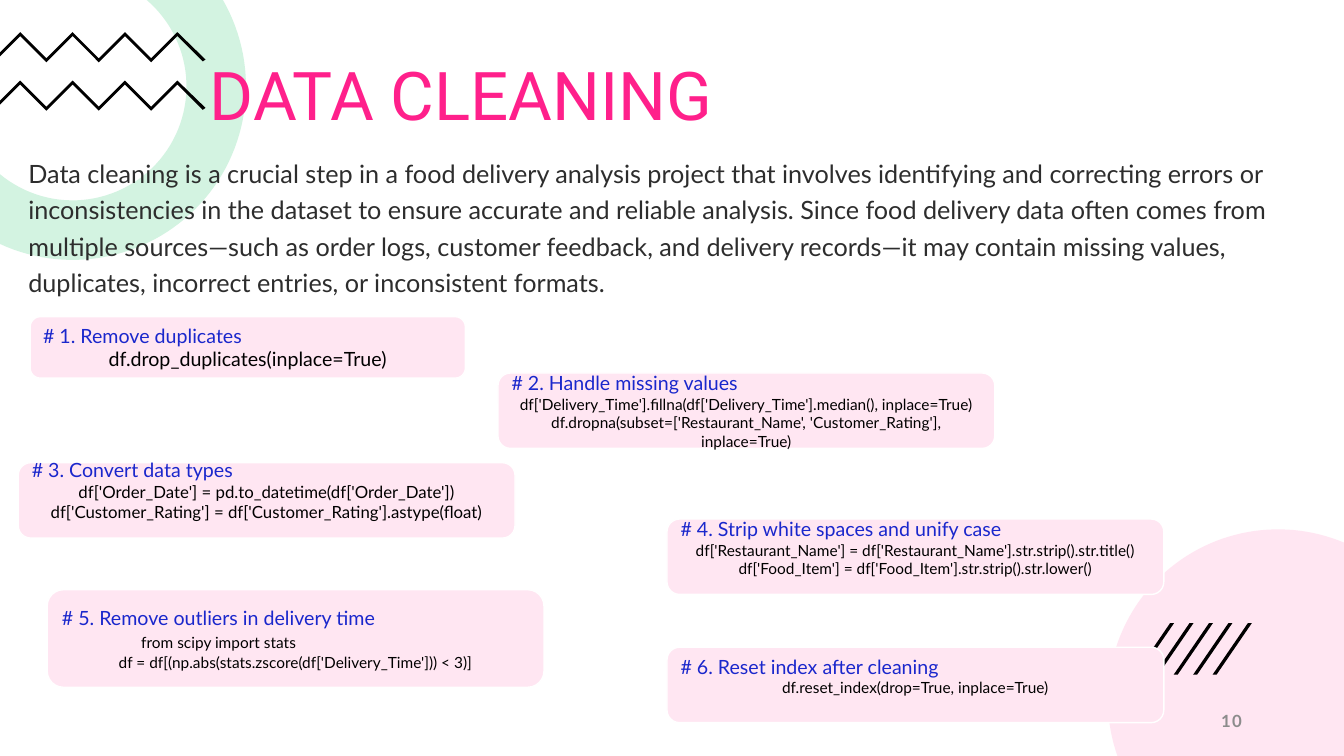
from dataclasses import dataclass
from math import acos, asin, cos, pi, sin

from lxml import etree
from pptx import Presentation
from pptx import util as u
from pptx.dml.color import RGBColor
from pptx.enum import shapes as s
from pptx.enum import text as t


@dataclass(frozen=True)
class Theme:
    pink: str = "FF208B"
    blush: str = "FFE6F2"
    mint: str = "D3F3E1"
    blue: str = "1A27CC"
    ink: str = "2D2D2D"
    grey: str = "8C8C8C"
    black: str = "000000"
    white: str = "FFFFFF"
    head: str = "Roboto"
    font: str = "Lato"
    title: int = 48
    body: int = 18
    label: int = 14
    page: int = 12
    code: int = 11


LOOK = Theme()
WIDE, HIGH = 33.87, 19.05

INTRO = (
    "Data cleaning is a crucial step in a food delivery analysis project that involves "
    "identifying and correcting errors or inconsistencies in the dataset to ensure accurate "
    "and reliable analysis. Since food delivery data often comes from multiple sources—such as "
    "order logs, customer feedback, and delivery records—it may contain missing values, "
    "duplicates, incorrect entries, or inconsistent formats."
)

CARDS = [
    ((0.76, 7.98, 10.97, 1.55), "# 1. Remove duplicates",
     ["df.drop_duplicates(inplace=True)"], {"size": 14}),
    ((16.81, 16.31, 12.52, 1.9), "# 6. Reset index after cleaning",
     ["df.reset_index(drop=True, inplace=True)"], {"spare": 11}),
    ((0.46, 11.66, 12.52, 1.9), "# 3. Convert data types",
     ["df['Order_Date'] = pd.to_datetime(df['Order_Date'])",
      "df['Customer_Rating'] = df['Customer_Rating'].astype(float)"],
     {"size": 12, "spare": 12}),
    ((16.81, 13.08, 12.52, 1.9), "# 4. Strip white spaces and unify case",
     ["df['Restaurant_Name'] = df['Restaurant_Name'].str.strip().str.title()",
      "df['Food_Item'] = df['Food_Item'].str.strip().str.lower()"], {"spare": 11}),
    ((12.55, 9.4, 12.52, 1.9), "# 2. Handle missing values",
     ["df['Delivery_Time'].fillna(df['Delivery_Time'].median(), inplace=True)",
      "df.dropna(subset=['Restaurant_Name', 'Customer_Rating'], inplace=True)"], {}),
    ((1.19, 14.86, 12.52, 2.46), "# 5. Remove outliers in delivery time",
     ["from scipy import stats",
      "df = df[(np.abs(stats.zscore(df['Delivery_Time'])) < 3)]"], {"indent": 2}),
]


def write(frame, words, size, color, font=LOOK.font, align="LEFT", bold=False,
          lead=1.0, before=0, after=0, indent=0, track=0):
    para = frame.paragraphs[0]
    if para.runs:
        para = frame.add_paragraph()
    props = para._p.get_or_add_pPr()
    props.set("marL", str(u.Cm(indent)))
    props.set("indent", "0")
    para.alignment = getattr(t.PP_ALIGN, align)
    para.line_spacing = lead
    para.space_before, para.space_after = u.Pt(before), u.Pt(after)
    etree.SubElement(props, props.nsmap["a"].join("{}") + "buNone")
    run = para.add_run()
    run.text = words
    run.font.name, run.font.size, run.font.bold = font, u.Pt(size), bold
    run.font.color.rgb = RGBColor.from_string(color)
    if track:
        run._r.get_or_add_rPr().set("spc", str(track * 100))


def place(shape, box):
    shape.left, shape.top, shape.width, shape.height = map(u.Cm, box)


def outline(slide, points, color):
    spots = [(u.Cm(x), u.Cm(y)) for x, y in points]
    pen = slide.shapes.build_freeform(*spots[0])
    pen.add_line_segments(spots[1:], close=True)
    shape = pen.convert_to_shape()
    shape.shadow.inherit = False
    shape.fill.solid()
    shape.fill.fore_color.rgb = RGBColor.from_string(color)
    shape.line.fill.background()


def arc(x, y, radius, start, end, steps=60):
    turns = [start + (end - start) * k / steps for k in range(steps + 1)]
    return [(x + radius * cos(a), y + radius * sin(a)) for a in turns]


def ring(slide, x, y, outer, inner):
    rim = arc(x, y, outer, -asin(y / outer), acos(-x / outer))
    hole = arc(x, y, inner, acos(-x / inner), -asin(y / inner))
    outline(slide, rim + hole, LOOK.mint)


def disc(slide, x, y, radius):
    start = pi - asin((HIGH - y) / radius)
    end = 2 * pi - acos((WIDE - x) / radius)
    outline(slide, arc(x, y, radius, start, end) + [(WIDE, HIGH)], LOOK.blush)


def zigzag(slide, left, top):
    step, thick = 0.66, 0.1
    bends = [(0.51 + step * k, step * (k % 2)) for k in range(7)]
    upper = [(0, 0.51)] + bends + [(5.18, 0.69)]
    lower = [(5.11, 0.74)] + [(x, y + thick) for x, y in bends[::-1]] + [(0, 0.61)]
    outline(slide, [(left + x, top + y) for x, y in upper + lower], LOOK.black)


def slashes(slide, box, count=5, thick=0.1, step=0.49):
    left, top, width, height = box
    for k in range(count):
        x = left + k * step
        outline(slide, [(x, top + height), (x + width - thick, top),
                        (x + width, top), (x + thick, top + height)], LOOK.black)


def holder(shape, box, anchor):
    place(shape, box)
    shape.element.getparent().append(shape.element)
    frame = shape.text_frame
    frame.word_wrap = True
    frame.auto_size = t.MSO_AUTO_SIZE.NONE
    frame.vertical_anchor = anchor
    return frame


def number(slide, box):
    frame = holder(slide.shapes.add_textbox(0, 0, 0, 0), box, t.MSO_ANCHOR.MIDDLE)
    write(frame, "10", LOOK.page, LOOK.grey, align="RIGHT", bold=True, track=1)


def card(slide, box, label, lines, size=LOOK.code, spare=0, indent=0):
    shape = slide.shapes.add_shape(s.MSO_SHAPE.ROUNDED_RECTANGLE, *map(u.Cm, box))
    shape.shadow.inherit = False
    shape.fill.solid()
    shape.fill.fore_color.rgb = RGBColor.from_string(LOOK.blush)
    shape.line.color.rgb = RGBColor.from_string(LOOK.white)
    shape.line.width = u.Pt(1)
    frame = shape.text_frame
    frame.word_wrap = True
    frame.vertical_anchor = t.MSO_ANCHOR.MIDDLE
    frame.margin_bottom = u.Cm(0.13) + u.Pt(spare * 1.2)
    write(frame, label, LOOK.label, LOOK.blue)
    for k, line in enumerate(lines):
        if indent and k == 0:
            write(frame, line, size, LOOK.black, indent=indent, before=3, after=0.6)
        else:
            write(frame, line, size, LOOK.black, align="CENTER")


def main():
    deck = Presentation()
    deck.slide_width, deck.slide_height = u.Cm(WIDE), u.Cm(HIGH)
    slide = deck.slides.add_slide(deck.slide_layouts[1])
    ring(slide, 1.83, 2.18, 4.37, 2.87)
    for top in (0.81, 2.03):
        zigzag(slide, 0, top)
    disc(slide, 32.21, 17.63, 4.29)
    title = holder(slide.shapes.title, (5.03, 0.99, 22.5, 2.54), t.MSO_ANCHOR.BOTTOM)
    write(title, "DATA CLEANING", LOOK.title, LOOK.pink, font=LOOK.head, lead=0.9)
    body = holder(slide.placeholders[1], (0.46, 3.71, 31.98, 13.79), t.MSO_ANCHOR.TOP)
    write(body, INTRO, LOOK.body, LOOK.ink, lead=1.2)
    number(slide, (23.93, 17.65, 7.62, 1.02))
    slashes(slide, (28.6, 15.7, 0.99, 1.3))
    for box, label, lines, style in CARDS:
        card(slide, box, label, lines, **style)
    deck.save("out.pptx")


if __name__ == "__main__":
    main()
